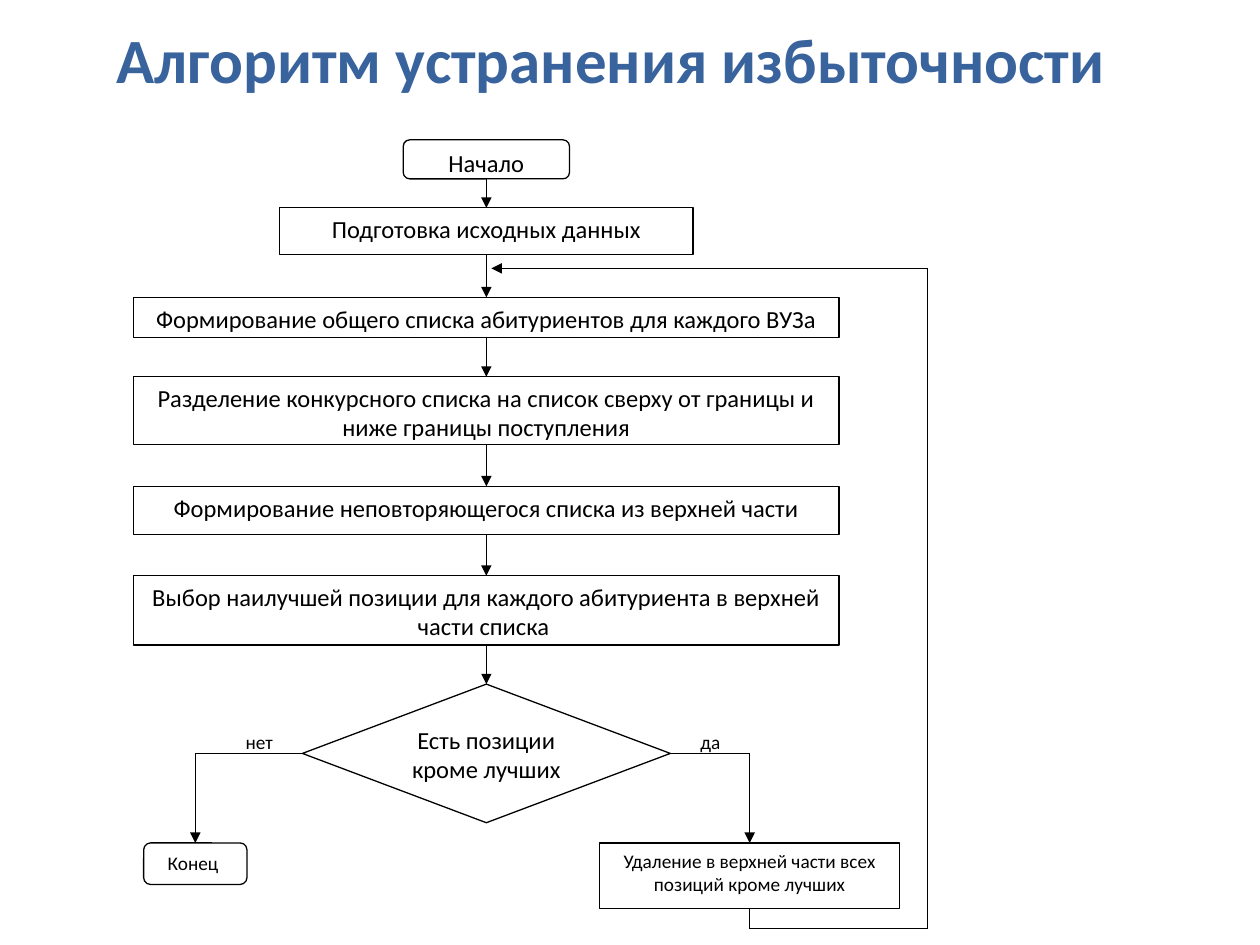
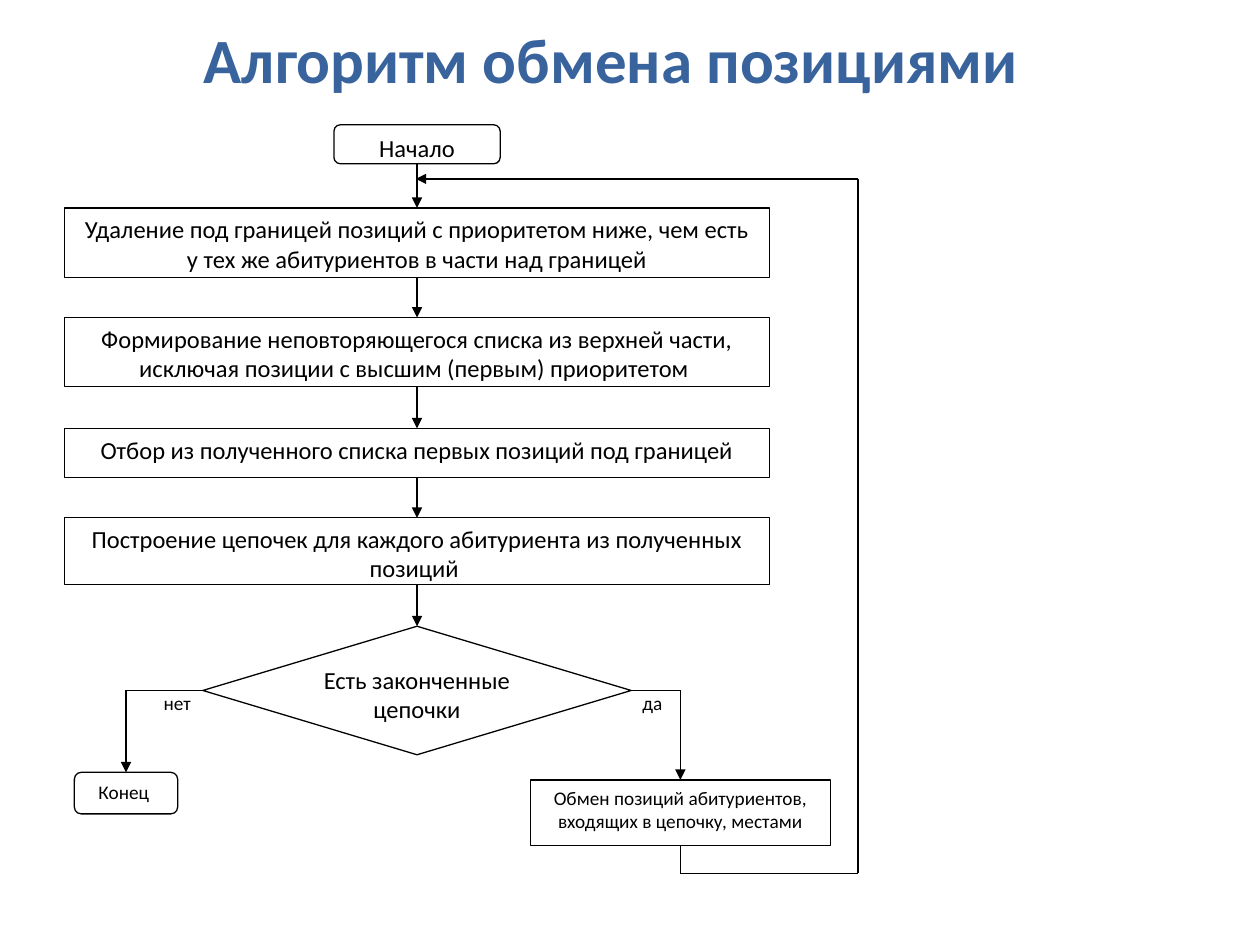
from dataclasses import dataclass

from lxml.etree import SubElement
from pptx import Presentation
from pptx.dml.color import RGBColor
from pptx.enum.shapes import MSO_CONNECTOR, MSO_SHAPE
from pptx.enum.text import MSO_ANCHOR, PP_ALIGN
from pptx.oxml.ns import qn
from pptx.util import Pt

EMU_PER_PX = 9144
FONT = "Calibri"
BLACK, WHITE, TITLE_BLUE = "000000", "FFFFFF", "39639D"
TOP, LEFT, BOTTOM, RIGHT = range(4)
COLUMN_WIDTH = 560
AXIS = COLUMN_WIDTH // 2
RETURN_X = 630


@dataclass
class Step:
    """One box of the main column, measured from the top of the flowchart."""
    text: str
    top: int
    height: int
    width: int = COLUMN_WIDTH


@dataclass
class Flowchart:
    """Content and vertical layout of one algorithm."""
    title: str
    box: tuple
    steps: list
    decision: Step
    action: Step
    end_top: int
    labels_top: int
    no_left: int
    yes_left: int
    return_to: tuple
    floor: int


FLOWCHARTS = [
    Flowchart(
        title="Алгоритм устранения избыточности",
        box=(106, 111),
        steps=[
            Step("Подготовка исходных данных", 54, 37, 328),
            Step("Формирование общего списка абитуриентов для каждого ВУЗа", 125, 32),
            Step("Разделение конкурсного списка на список сверху от границы и "
                 "ниже границы поступления", 188, 54),
            Step("Формирование неповторяющегося списка из верхней части", 275, 38),
            Step("Выбор наилучшей позиции для каждого абитуриента в верхней "
                 "части списка ", 346, 55),
        ],
        decision=Step("Есть позиции кроме лучших", 432, 110, 292),
        action=Step("Удаление в верхней части всех позиций кроме лучших", 558, 52, 238),
        end_top=558, labels_top=464, no_left=79, yes_left=440,
        return_to=(284, 102), floor=626,
    ),
    Flowchart(
        title="Алгоритм обмена позициями",
        box=(51, 99),
        steps=[
            Step("Удаление под границей позиций с приоритетом ниже, чем есть "
                 "у тех же абитуриентов в части над границей", 66, 55),
            Step("Формирование неповторяющегося списка из верхней части, "
                 "исключая позиции с высшим (первым) приоритетом ", 153, 55),
            Step("Отбор из полученного списка первых позиций под границей", 241, 39),
            Step("Построение цепочек для каждого абитуриента из полученных "
                 "позиций ", 312, 53),
        ],
        decision=Step("Есть законченные цепочки", 398, 102, 340),
        action=Step("Обмен позиций абитуриентов, входящих в цепочку, местами", 520, 52, 238),
        end_top=514, labels_top=445, no_left=69, yes_left=449,
        return_to=(279, 43), floor=594,
    ),
]


def px(*lengths):
    """Turn px lengths into EMU."""
    return [length * EMU_PER_PX for length in lengths]


def color(value):
    """Turn a hex string into a colour."""
    return RGBColor.from_string(value)


def write(shape, text, size, ink=BLACK, align=PP_ALIGN.CENTER,
          anchor=MSO_ANCHOR.TOP, bold=False):
    """Fill a shape with one formatted paragraph."""
    frame = shape.text_frame
    frame.word_wrap = True
    frame.vertical_anchor = anchor
    frame.text = text
    para = frame.paragraphs[0]
    para.alignment = align
    span = para.runs[0]
    span.font.name = FONT
    span.font.size = Pt(size)
    span.font.bold = bold
    span.font.color.rgb = color(ink)


def add_block(slide, kind, place, text, size=14, outline=BLACK, align=PP_ALIGN.CENTER):
    """Add a white outlined shape with text."""
    block = slide.shapes.add_shape(kind, *px(*place))
    block.shadow.inherit = False
    block.fill.solid()
    block.fill.fore_color.rgb = color(WHITE)
    block.line.color.rgb = color(outline)
    block.line.width = Pt(0.75)
    write(block, text, size, align=align)
    return block


def add_link(slide, start, finish, arrow=False):
    """Draw a line between two ends, each a point or a shape with its side."""
    points = [(0, 0) if hasattr(end[0], "shape_type") else end for end in (start, finish)]
    link = slide.shapes.add_connector(MSO_CONNECTOR.STRAIGHT, *px(*points[0], *points[1]))
    for end, connect in ((start, link.begin_connect), (finish, link.end_connect)):
        if hasattr(end[0], "shape_type"):
            connect(*end)
    link.line.color.rgb = color(BLACK)
    link.line.width = Pt(0.75)
    properties = link.element.spPr
    if arrow:
        SubElement(properties.find(qn("a:ln")), qn("a:tailEnd"), type="triangle")
    SubElement(properties, qn("a:effectLst"))


def add_route(slide, *stops, arrow=True):
    """Draw a chain of lines with an arrowhead on the last one."""
    for index in range(1, len(stops)):
        last = index == len(stops) - 1
        add_link(slide, stops[index - 1], stops[index], arrow and last)


def add_title(slide, text):
    """Add the slide title."""
    title = slide.shapes.add_textbox(*px(35, 0, 900, 92))
    write(title, text, 36, TITLE_BLUE, anchor=MSO_ANCHOR.MIDDLE, bold=True)


def add_flowchart(slide, chart):
    """Draw the flowchart relative to its box."""
    left, top = chart.box

    def block(kind, x, step, size=14):
        """Place one step with its left edge at x."""
        place = (left + x, top + step.top, step.width, step.height)
        return add_block(slide, kind, place, step.text, size)

    def centred(kind, step):
        """Place one step on the axis of the main column."""
        return block(kind, AXIS - step.width // 2, step)

    for x, width, text in ((chart.no_left, 49, "нет"), (chart.yes_left, 41, "да")):
        add_block(slide, MSO_SHAPE.RECTANGLE, (left + x, top + chart.labels_top, width, 26),
                  text, 11, WHITE, PP_ALIGN.LEFT)

    column = [centred(MSO_SHAPE.FLOWCHART_ALTERNATE_PROCESS, Step("Начало", 0, 31, 132))]
    column += [centred(MSO_SHAPE.RECTANGLE, step) for step in chart.steps]
    decision = centred(MSO_SHAPE.FLOWCHART_DECISION, chart.decision)
    column.append(decision)
    for upper, lower in zip(column, column[1:]):
        add_link(slide, (upper, BOTTOM), (lower, TOP), arrow=True)

    end = block(MSO_SHAPE.ROUNDED_RECTANGLE, 8, Step("Конец ", chart.end_top, 33, 82), 11)
    action = block(MSO_SHAPE.RECTANGLE, 370, chart.action, 11)
    branch_y = top + chart.decision.top + chart.decision.height // 2
    end_x, action_x = left + 49, left + 489
    add_route(slide, (decision, LEFT), (end_x, branch_y), (end, TOP))
    add_route(slide, (decision, RIGHT), (action_x, branch_y), (action, TOP))

    return_x, floor = left + RETURN_X, top + chart.floor
    tip_x, return_y = left + chart.return_to[0], top + chart.return_to[1]
    add_route(slide, (action, BOTTOM), (action_x, floor), (return_x, floor),
              (return_x, return_y), (tip_x, return_y))


def main():
    """Build the deck."""
    deck = Presentation()
    deck.slide_width, deck.slide_height = px(1000, 750)
    for chart in FLOWCHARTS:
        page = deck.slides.add_slide(deck.slide_layouts[6])
        add_title(page, chart.title)
        add_flowchart(page, chart)
    deck.save("out.pptx")


if __name__ == "__main__":
    main()
